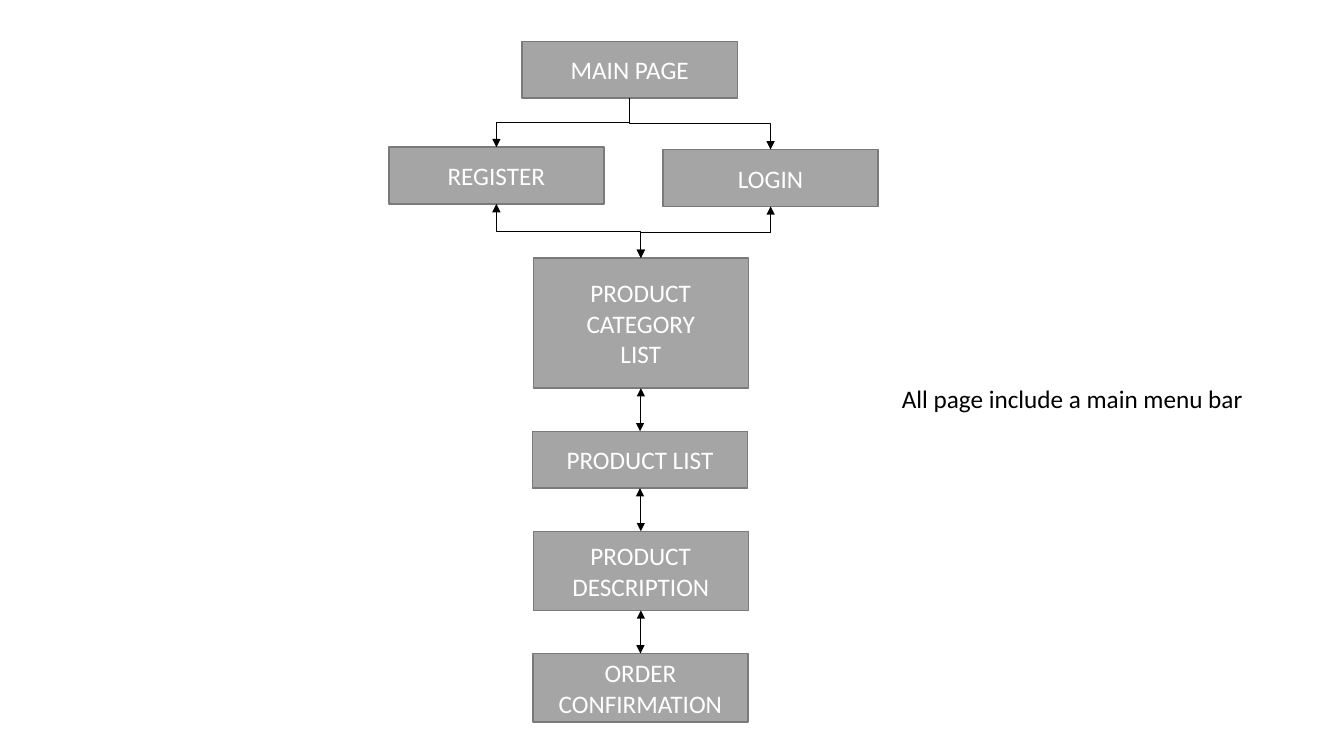
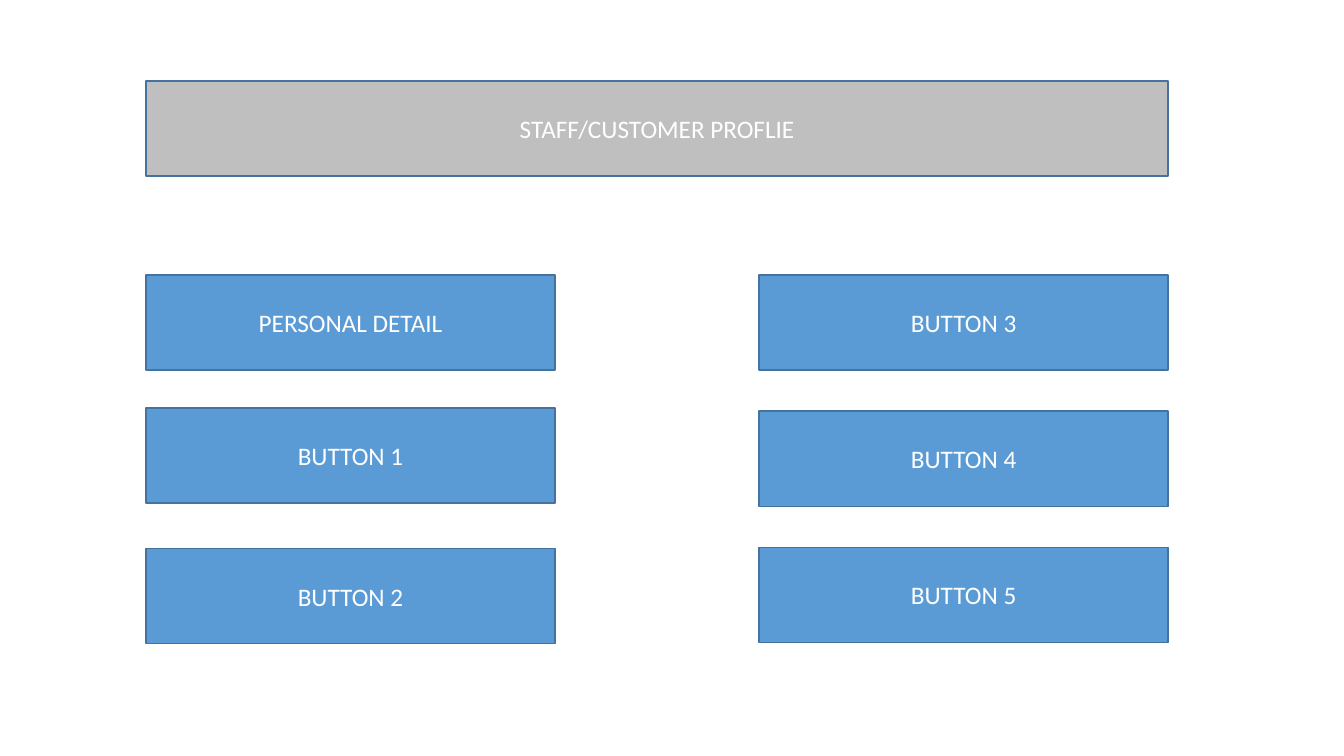
"""Builds a site map slide and a profile page wireframe slide."""
import pptx
import pptx.util
import pptx.dml.color
import pptx.enum.shapes
import pptx.enum.text
import pptx.oxml.ns
from lxml import etree
from pptx.util import Cm

COLOURS = {
    "grey": "A5A5A5", "grey edge": "7A7A7A", "silver": "BFBFBF",
    "blue": "5B9BD5", "blue edge": "43739E", "white": "FFFFFF", "black": "000000",
}
ANCHOR = pptx.enum.text.MSO_ANCHOR
ALIGN = pptx.enum.text.PP_ALIGN
qn = pptx.oxml.ns.qn


def colour(name):
    """Return the named colour."""
    return pptx.dml.color.RGBColor.from_string(COLOURS[name])


class Pages:
    """Holds the deck, its style and the current page."""

    FONT = {"name": "Calibri", "size": pptx.util.Pt(18)}
    TOP_SITE, BOTTOM_SITE = 0, 2

    def __init__(self):
        """Start an empty widescreen deck."""
        self.deck = pptx.Presentation()
        self.deck.slide_width, self.deck.slide_height = Cm(33.87), Cm(19.05)
        self.page = None

    def new_page(self):
        """Add a blank page and make it current."""
        self.page = self.deck.slides.add_slide(self.deck.slide_layouts[6])

    def set_text(self, shape, text, ink, align, **frame):
        """Fill a shape with one paragraph per line of text."""
        for key, value in frame.items():
            setattr(shape.text_frame, key, value)
        shape.text_frame.text = text
        for para in shape.text_frame.paragraphs:
            para.alignment = align
            for span in para.runs:
                for key, value in self.FONT.items():
                    setattr(span.font, key, value)
                span.font.color.rgb = colour(ink)

    def box(self, text, left, top, width, height, fill, edge):
        """Draw a filled rectangle with centred text."""
        box = self.page.shapes.add_shape(
            pptx.enum.shapes.MSO_SHAPE.RECTANGLE,
            Cm(left), Cm(top), Cm(width), Cm(height))
        box.shadow.inherit = False
        box.fill.solid()
        box.fill.fore_color.rgb = colour(fill)
        box.line.color.rgb = colour(edge)
        box.line.width = pptx.util.Pt(1)
        self.set_text(box, text, "white", ALIGN.CENTER,
                      word_wrap=True, vertical_anchor=ANCHOR.MIDDLE)
        return box

    def note(self, text, left, top, width, height):
        """Place a line of plain text."""
        note = self.page.shapes.add_textbox(Cm(left), Cm(top), Cm(width), Cm(height))
        self.set_text(note, text, "black", ALIGN.LEFT, word_wrap=False,
                      auto_size=pptx.enum.text.MSO_AUTO_SIZE.SHAPE_TO_FIT_TEXT)

    def arrow(self, upper, lower, both_ways):
        """Join two boxes, bottom to top, with a bent arrow."""
        x1, y1 = upper.left + upper.width // 2, upper.top + upper.height
        x2, y2 = lower.left + lower.width // 2, lower.top
        arrow = self.page.shapes.add_connector(
            pptx.enum.shapes.MSO_CONNECTOR.ELBOW, x1, y1, x2, y2)
        arrow.begin_connect(upper, self.BOTTOM_SITE)
        arrow.end_connect(lower, self.TOP_SITE)

        run, drop = abs(x2 - x1), y2 - y1
        arrow.left, arrow.top = (x1 + x2 - drop) // 2, (y1 + y2 - run) // 2
        arrow.width, arrow.height = drop, run
        rightward = x2 > x1
        properties = arrow._element.spPr
        frame = properties.find(qn("a:xfrm"))
        frame.set("rot", str((270 if rightward else 90) * 60000))
        frame.set("flipH", "1" if rightward else "0")
        frame.set("flipV", "0")

        arrow.line.color.rgb = colour("black")
        arrow.line.width = pptx.util.Pt(0.5)
        line = properties.find(qn("a:ln"))
        for end in ("a:headEnd", "a:tailEnd") if both_ways else ("a:tailEnd",):
            etree.SubElement(line, qn(end)).set("type", "triangle")
        etree.SubElement(properties, qn("a:effectLst"))


def site_map(pages):
    """Draw the page flow of the shop."""
    pages.new_page()
    places = {
        "main": ("MAIN PAGE", 13.16, 1.04, 1.43),
        "register": ("REGISTER", 9.8, 3.71, 1.43),
        "login": ("LOGIN", 16.71, 3.77, 1.43),
        "category": ("PRODUCT\nCATEGORY\nLIST", 13.44, 6.5, 3.28),
        "list": ("PRODUCT LIST", 13.42, 10.87, 1.43),
        "description": ("PRODUCT DESCRIPTION", 13.44, 13.39, 1.99),
        "order": ("ORDER\nCONFIRMATION", 13.43, 16.47, 1.73),
    }
    boxes = {
        key: pages.box(text, left, top, 5.42, height, "grey", "grey edge")
        for key, (text, left, top, height) in places.items()
    }
    links = [
        ("main", "register"), ("main", "login"),
        ("register", "category"), ("login", "category"),
        ("category", "list"), ("list", "description"), ("description", "order"),
    ]
    for upper, lower in links:
        pages.arrow(boxes[upper], boxes[lower], both_ways=upper != "main")
    pages.note("All page include a main menu bar", 22.48, 9.53, 9.22, 1.02)


def profile(pages):
    """Draw the profile page with its header and two button columns."""
    pages.new_page()
    left, right, width, height = 3.68, 19.13, 10.31, 2.4
    pages.box("STAFF/CUSTOMER PROFLIE", left, 2.04, right + width - left, height,
              "silver", "blue edge")
    columns = {
        left: [("PERSONAL DETAIL", 6.93), ("BUTTON 1", 10.28), ("BUTTON 2", 13.82)],
        right: [(f"BUTTON {3 + row}", 6.93 + 3.43 * row) for row in range(3)],
    }
    for column, buttons in columns.items():
        for text, top in buttons:
            pages.box(text, column, top, width, height, "blue", "blue edge")


def main():
    """Build and save the deck."""
    pages = Pages()
    site_map(pages)
    profile(pages)
    pages.deck.save("out.pptx")


if __name__ == "__main__":
    main()
